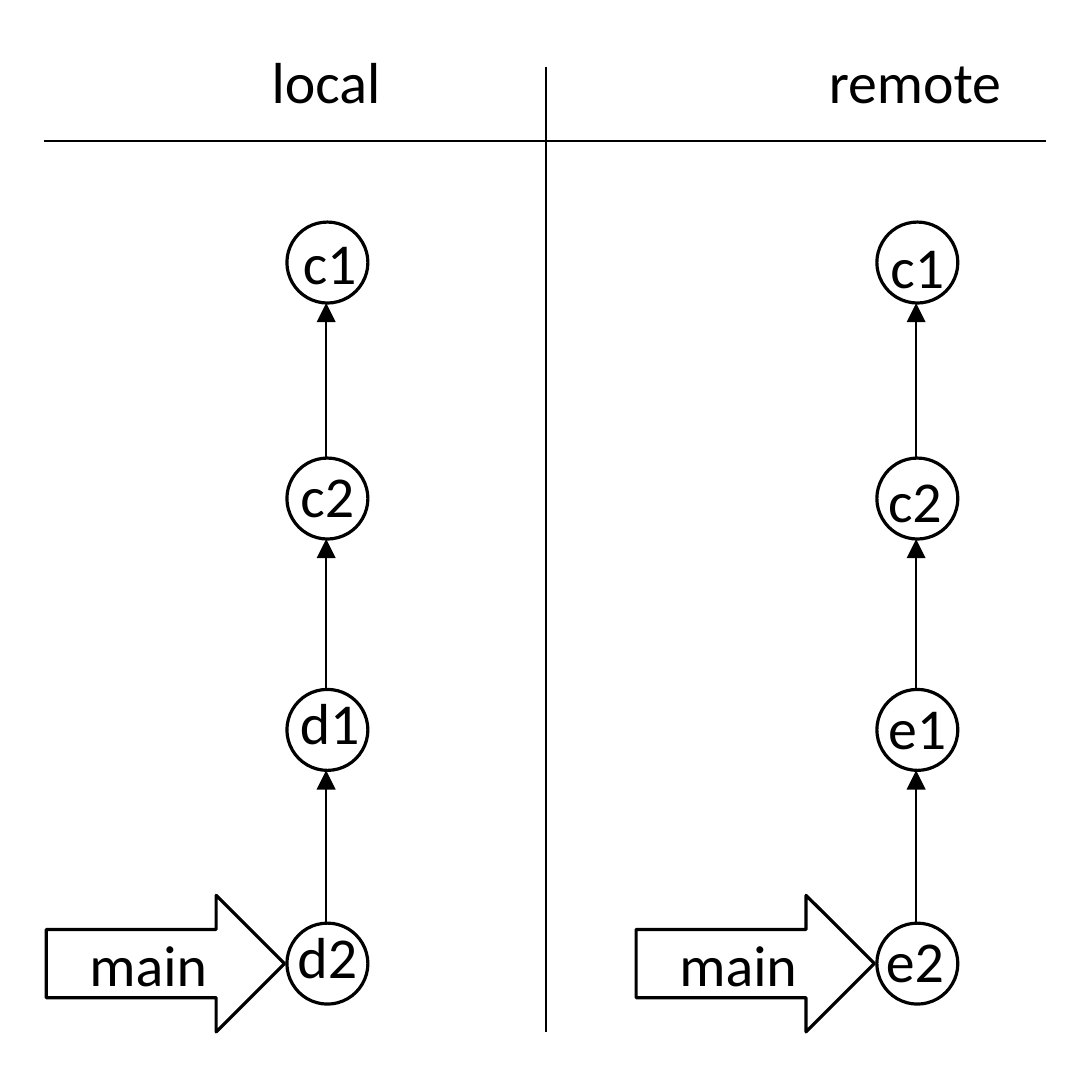
from pptx import Presentation
from pptx.dml.color import RGBColor
from pptx.enum import shapes, text
from pptx.oxml.ns import qn
from pptx.util import Inches, Pt
from lxml import etree

BLACK, WHITE = "000000", "FFFFFF"
DIAMETER = 0.35
COMMIT_TOPS = [0.96, 1.98, 2.98, 3.99]
LABEL_TOPS = [0.93, 1.94, 2.92, 3.93]

deck = Presentation()
deck.slide_width = deck.slide_height = Inches(4.72)
page = deck.slides.add_slide(deck.slide_layouts[6])


def paint(target, color):
    """Give a fill or a font a solid colour."""
    if hasattr(target, "solid"):
        target.solid()
        target.fore_color.rgb = RGBColor.from_string(color)
    else:
        target.color.rgb = RGBColor.from_string(color)


def write(box, words):
    """Put one centred line of text in a box."""
    para = box.text_frame.paragraphs[0]
    para.text = words
    para.alignment = text.PP_ALIGN.CENTER
    para.font.name, para.font.size = "Calibri", Pt(18)
    paint(para.font, BLACK)


# Branch columns: title, title left, title width, axis, label left, label drop, commits
branches = [
    ("local", 0.91, 1.0, 1.41, 1.19, 0, ["c1", "c2", "d1", "d2"]),
    ("remote", 3.35, 1.21, 3.96, 3.73, 0.02, ["c1", "c2", "e1", "e2"]),
]
lines = []
labels = []
for title, title_left, title_width, axis, label_left, drop, commits in branches:
    # Pointer to the newest commit, then the commit circles
    outlines = [("main", shapes.MSO_SHAPE.RIGHT_ARROW, axis - 1.21, 3.87, 1.03, 0.59)]
    outlines += [("", shapes.MSO_SHAPE.OVAL, axis - 0.17, top, DIAMETER, DIAMETER)
                 for top in COMMIT_TOPS]
    for words, kind, *place in outlines:
        shape = page.shapes.add_shape(kind, *map(Inches, place))
        shape.shadow.inherit = False
        paint(shape.fill, WHITE)
        paint(shape.line.fill, BLACK)
        shape.line.width = Pt(1)
        if words:
            shape.text_frame.vertical_anchor = text.MSO_ANCHOR.MIDDLE
            write(shape, words)

    # Each commit points up to its parent
    for parent, child in zip(COMMIT_TOPS, COMMIT_TOPS[1:]):
        lines.append((axis, parent + DIAMETER, axis, child, True))

    labels.append((title, title_left, 0.15, title_width))
    for index, (commit, top) in enumerate(zip(commits, LABEL_TOPS)):
        labels.append((commit, label_left - 0.01 * (index % 2), top + drop, 0.47))

# Parent arrows and the two divider lines
lines += [(2.36, 0.29, 2.36, 4.46, False), (0.19, 0.61, 4.52, 0.61, False)]
for *ends, has_arrow in lines:
    line = page.shapes.add_connector(shapes.MSO_CONNECTOR.STRAIGHT, *map(Inches, ends))
    paint(line.line.fill, BLACK)
    line.line.width = Pt(0.5)
    properties = line._element.spPr
    if has_arrow:
        etree.SubElement(properties.find(qn("a:ln")), qn("a:headEnd"), type="triangle")
    etree.SubElement(properties, qn("a:effectLst"))

# Branch titles and commit labels
for words, left, top, width in labels:
    box = page.shapes.add_textbox(*map(Inches, (left, top, width, 0.4)))
    box.text_frame.word_wrap = True
    box.text_frame.auto_size = text.MSO_AUTO_SIZE.SHAPE_TO_FIT_TEXT
    write(box, words)

deck.save("out.pptx")
